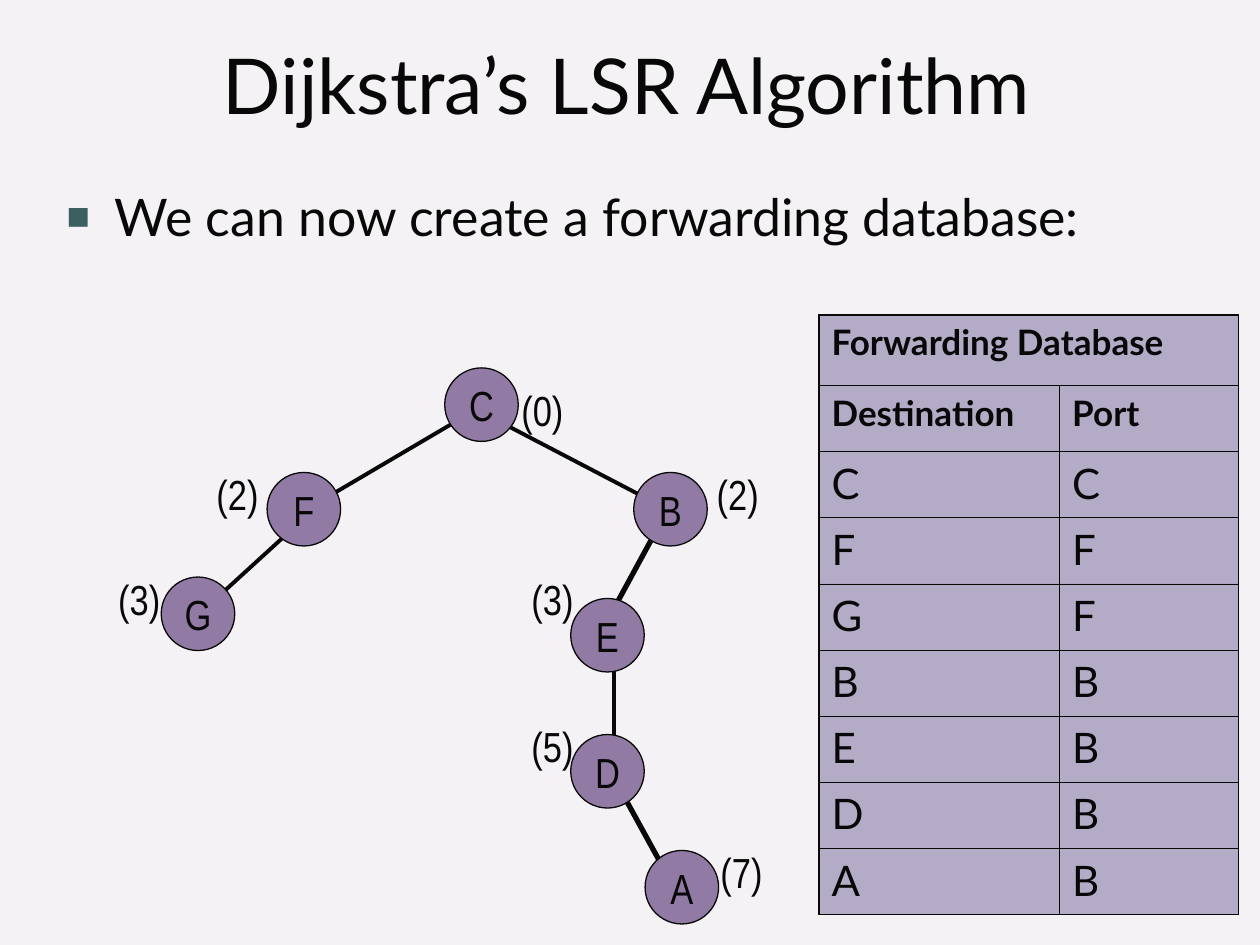
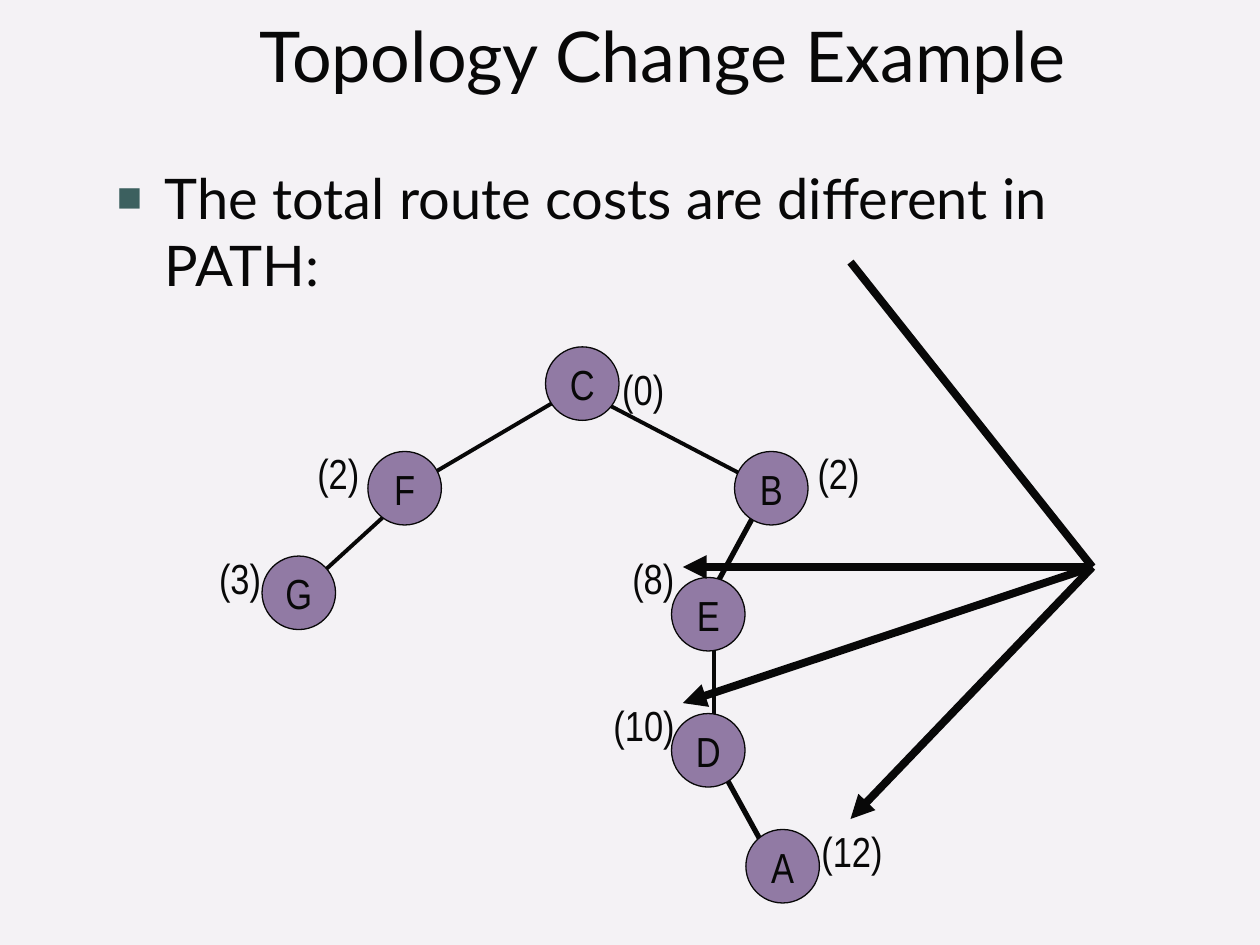
from dataclasses import dataclass

from lxml import etree
from pptx import Presentation, util as u
from pptx.dml.color import RGBColor
from pptx.enum import shapes, text
from pptx.oxml import ns

Inches, Pt = u.Inches, u.Pt


@dataclass(frozen=True)
class Theme:
    background: str = "F4F2F5"
    ink: str = "080808"
    bullet: str = "3C605F"
    node: str = "917AA4"
    cell: str = "76669A"
    body_font: str = "Lato"
    node_font: str = "Arial Narrow"
    node_size: float = 24
    header_size: float = 20
    cell_size: float = 24
    outline: float = 0.75
    thin_edge: float = 2.25
    thick_edge: float = 3
    pointer: float = 4.5
    grid_inner: float = 0.45
    grid_outer: float = 1.08


# Routing tree: node -> left, top, and offset of its cost label
NODE_DIAMETER = 7 / 12
NODES = {
    "C": (3.53, 2.92, 0.51, 0.08),
    "F": (2.12, 3.75, -0.5, -0.08),
    "B": (5.03, 3.75, 0.56, -0.08),
    "G": (1.28, 4.58, -0.44, -0.08),
    "E": (4.53, 4.75, -0.41, -0.25),
    "D": (4.53, 5.83, -0.41, -0.16),
    "A": (5.12, 6.75, 0.5, -0.08),
}
THIN_EDGES = [
    ((4.87, 5.08), (4.87, 6)),
    ((1.53, 4.92), (2.45, 4.08)),
    ((2.37, 4.08), (3.78, 3.25)),
    ((5.37, 4.08), (3.78, 3.25)),
]
THICK_EDGES = [((4.87, 6.17), (5.37, 7.08)), ((5.28, 4.08), (4.78, 5))]


def child(parent, tag, **attributes):
    return etree.SubElement(parent, ns.qn(tag), attributes)


class Deck:
    def __init__(self, theme):
        self.theme = theme
        self.presentation = Presentation()
        self.presentation.slide_width = Inches(10)
        self.presentation.slide_height = Inches(7.5)
        fill = self.presentation.slide_master.background.fill
        fill.solid()
        fill.fore_color.rgb = RGBColor.from_string(theme.background)
        self.slide = None

    def new_slide(self):
        self.slide = self.presentation.slides.add_slide(self.presentation.slide_layouts[6])

    def add_run(self, paragraph, words, size, font, bold=False):
        run = paragraph.add_run()
        run.text = words
        run.font.size = Pt(size)
        run.font.name = font
        run.font.bold = bold
        run.font.color.rgb = RGBColor.from_string(self.theme.ink)

    def text_box(self, left, top, width, height):
        shape = self.slide.shapes.add_textbox(*map(Inches, (left, top, width, height)))
        shape.text_frame.word_wrap = True
        return shape.text_frame

    def title(self, words, box, size):
        frame = self.text_box(*box)
        frame.vertical_anchor = text.MSO_ANCHOR.MIDDLE
        self.add_run(frame.paragraphs[0], words, size, self.theme.body_font)

    def bullet(self, words, box, size):
        paragraph = self.text_box(*box).paragraphs[0]
        properties = paragraph._p.get_or_add_pPr()
        properties.set("marL", str(Inches(0.38)))
        properties.set("indent", str(-Inches(0.38)))
        child(child(properties, "a:buClr"), "a:srgbClr", val=self.theme.bullet)
        child(properties, "a:buSzPct", val="75000")
        child(properties, "a:buFont", typeface="Arial")
        child(properties, "a:buChar", char="■")
        self.add_run(paragraph, words, size, self.theme.body_font)

    def line(self, start, end, width, arrow=False):
        connector = self.slide.shapes.add_connector(
            shapes.MSO_CONNECTOR.STRAIGHT, *map(Inches, (*start, *end)))
        connector.line.color.rgb = RGBColor.from_string(self.theme.ink)
        connector.line.width = Pt(width)
        properties = connector._element.spPr
        if arrow:
            child(properties.find(ns.qn("a:ln")), "a:tailEnd", type="triangle")
        child(properties, "a:effectLst")

    def node(self, name, left, top):
        theme = self.theme
        shape = self.slide.shapes.add_shape(
            shapes.MSO_SHAPE.OVAL, Inches(left), Inches(top),
            Inches(NODE_DIAMETER), Inches(NODE_DIAMETER))
        shape.shadow.inherit = False
        shape.fill.solid()
        shape.fill.fore_color.rgb = RGBColor.from_string(theme.node)
        shape.line.color.rgb = RGBColor.from_string(theme.ink)
        shape.line.width = Pt(theme.outline)
        frame = shape.text_frame
        frame.word_wrap = False
        frame.vertical_anchor = text.MSO_ANCHOR.MIDDLE
        frame.paragraphs[0].alignment = text.PP_ALIGN.CENTER
        self.add_run(frame.paragraphs[0], name, theme.node_size, theme.node_font)

    def cost_label(self, cost, left, top, on_left):
        extra = 0.15 * (len(str(cost)) - 1)
        if on_left:
            left -= extra
        frame = self.text_box(left, top, 0.53 + extra, 0.5)
        frame.margin_right = 0
        self.add_run(frame.paragraphs[0], f"({cost})", self.theme.node_size, self.theme.node_font)

    def tree(self, costs, shift_x=0, shift_y=0):
        def moved(point):
            return point[0] + shift_x, point[1] + shift_y

        for edges, width in ((THICK_EDGES, self.theme.thick_edge),
                             (THIN_EDGES, self.theme.thin_edge)):
            for start, end in edges:
                self.line(moved(start), moved(end), width)
        for name, (x, y, label_x, label_y) in NODES.items():
            left, top = moved((x, y))
            self.node(name, left, top)
            self.cost_label(costs[name], left + label_x, top + label_y, label_x < 0)

    def style_cell(self, cell, outer_sides):
        theme = self.theme
        cell.fill.solid()
        cell.fill.fore_color.rgb = RGBColor.from_string(theme.cell)
        properties = cell._tc.get_or_add_tcPr()
        color = properties.find(f"{ns.qn('a:solidFill')}/{ns.qn('a:srgbClr')}")
        child(color, "a:alpha", val="50000")
        for position, side in enumerate("LRTB"):
            width = theme.grid_outer if side in outer_sides else theme.grid_inner
            border = etree.Element(ns.qn(f"a:ln{side}"), w=str(Pt(width)))
            child(child(border, "a:solidFill"), "a:srgbClr", val=theme.ink)
            properties.insert(position, border)

    def forwarding_table(self, rows, left, top, widths, heights):
        theme = self.theme
        table = self.slide.shapes.add_table(
            len(rows), len(widths), Inches(left), Inches(top),
            Inches(sum(widths)), Inches(sum(heights))).table
        table.first_row = table.horz_banding = False
        for column, width in zip(table.columns, widths):
            column.width = Inches(width)
        for row, height in zip(table.rows, heights):
            row.height = Inches(height)
        table.cell(0, 0).merge(table.cell(0, len(widths) - 1))
        last_row, last_column = len(rows) - 1, len(widths) - 1
        for r, row in enumerate(rows):
            for c in range(len(widths)):
                outer = {"T": r == 0, "B": r == last_row, "L": c == 0,
                         "R": c == last_column or r == 0}
                cell = table.cell(r, c)
                self.style_cell(cell, [side for side, is_outer in outer.items() if is_outer])
                if c < len(row):
                    header = r < 2
                    self.add_run(cell.text_frame.paragraphs[0], row[c],
                                 theme.header_size if header else theme.cell_size,
                                 theme.body_font, header)


def main():
    deck = Deck(Theme())

    # Forwarding database
    deck.new_slide()
    deck.title("Dijkstra’s LSR Algorithm", (1.67, 0.08, 8.07, 1.17), 44)
    deck.bullet("We can now create a forwarding database:", (0.43, 1.42, 9.32, 1.06), 29.6)
    deck.tree(dict(C=0, F=2, B=2, G=3, E=3, D=5, A=7))
    ports = zip("CFGBEDA", "CFFBBBB")
    rows = [("Forwarding Database",), ("Destination", "Port"), *ports]
    title_height, table_height = 0.56, 4.76
    row_height = (table_height - title_height) / (len(rows) - 1)
    heights = [title_height] + [row_height] * (len(rows) - 1)
    deck.forwarding_table(rows, 6.5, 2.5, (1.91, 1.42), heights)

    # Topology change
    deck.new_slide()
    deck.title("Topology Change Example", (1.96, 0.12, 7.49, 0.62), 40)
    deck.bullet("The total route costs are different in PATH:", (0.83, 1.25, 8.5, 1.75), 32)
    deck.tree(dict(C=0, F=2, B=2, G=3, E=8, D=10, A=12), 0.8, -1 / 6)

    # Pointers to the changed costs
    hub = (8.67, 4.5)
    deck.line((6.75, 2.08), hub, deck.theme.pointer)
    for target in ((5.42, 4.5), (5.42, 5.58), (6.75, 6.5)):
        deck.line(hub, target, deck.theme.pointer, arrow=True)

    deck.presentation.save("out.pptx")


if __name__ == "__main__":
    main()
